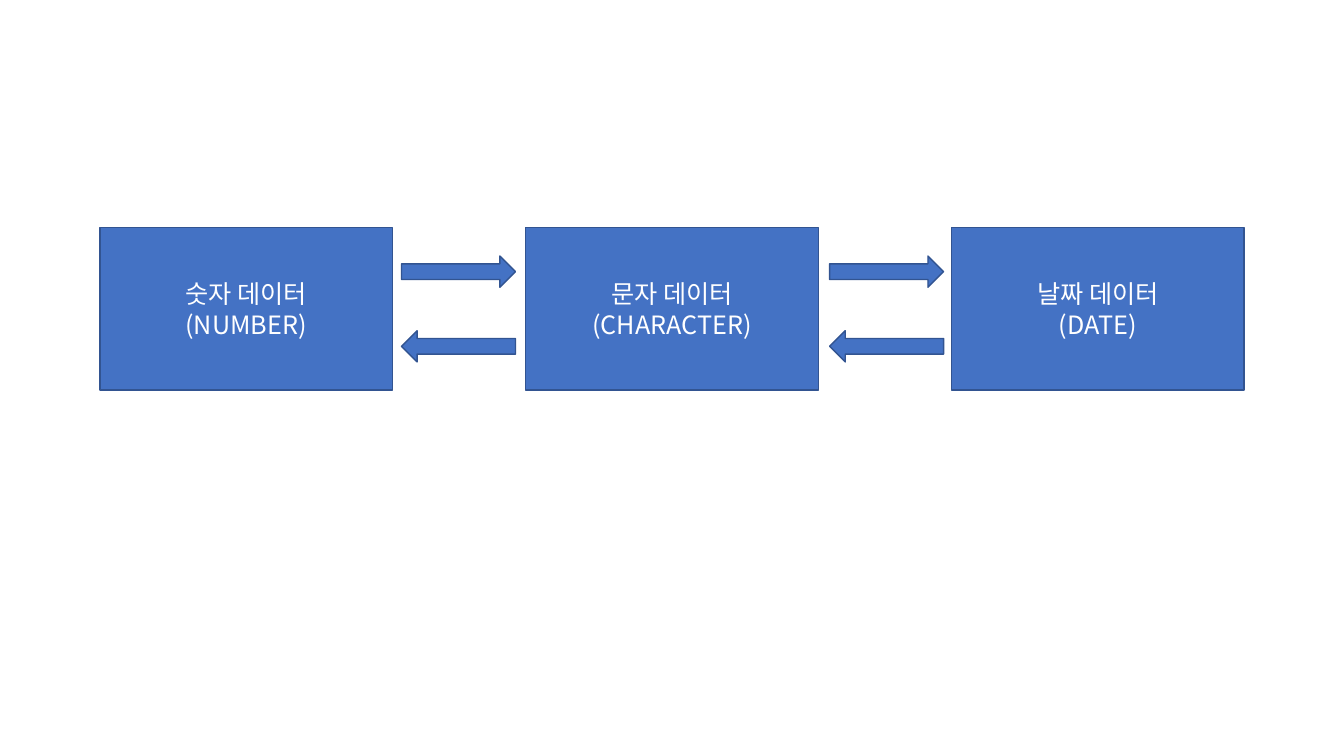
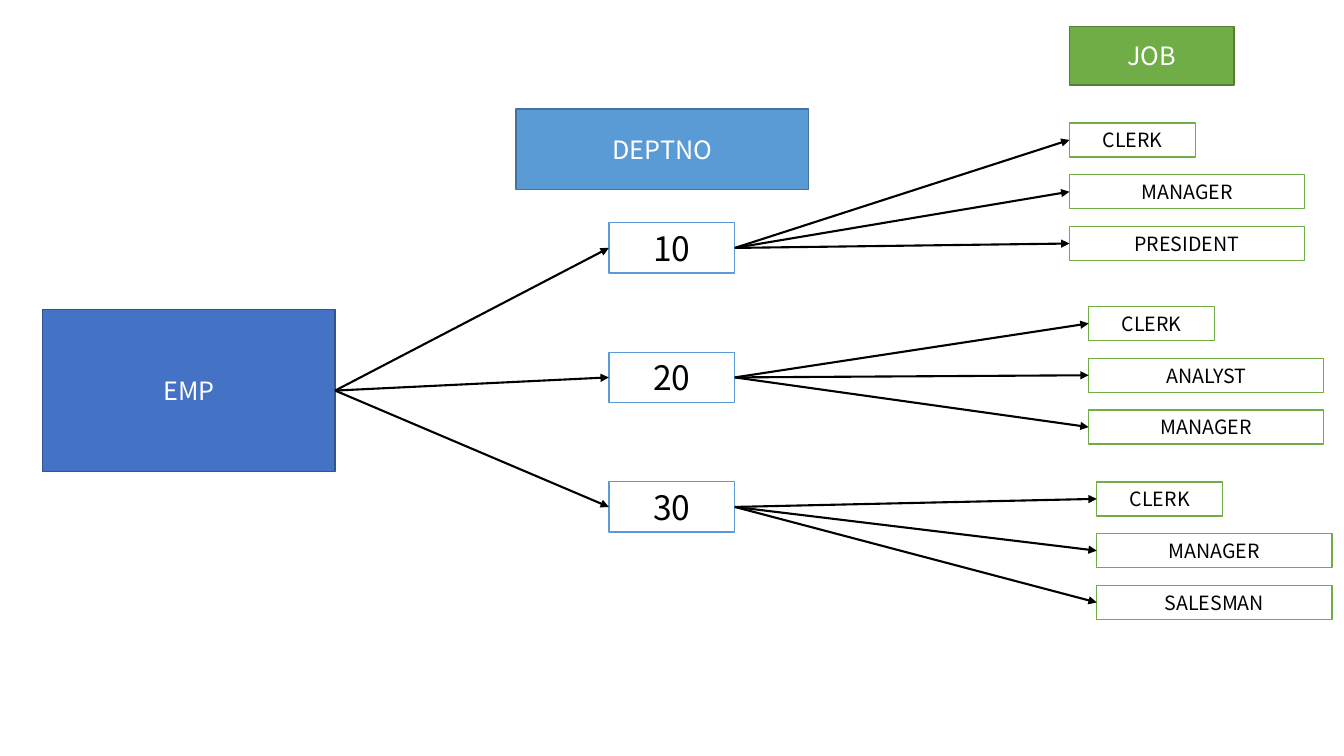
from typing import NamedTuple

from lxml.etree import SubElement
from pptx import Presentation
from pptx.dml.color import RGBColor
from pptx.enum.shapes import MSO_CONNECTOR as Link, MSO_SHAPE as Geo
from pptx.enum.text import MSO_ANCHOR as Anchor, PP_ALIGN as Align
from pptx.oxml.ns import qn
from pptx.shapes.autoshape import Shape
from pptx.slide import Slide
from pptx.util import Pt

FONT = "Noto Sans CJK KR"
LEFT, RIGHT = 1, 3  # connection sites of a rectangle


class Look(NamedTuple):
    fill: str
    edge: str
    ink: str
    size: float


class Place(NamedTuple):
    x: float
    y: float
    w: float
    h: float


class Group(NamedTuple):
    dept: str
    x: float
    y: float
    jobs: tuple[str, ...]


# Shared looks
BLUE = Look("4472C4", "325491", "FFFFFF", 18)
SKY = Look("5B9BD5", "43739E", "FFFFFF", 18)
GREEN = Look("70AD47", "538035", "FFFFFF", 18)
DEPT = Look("FFFFFF", "5B9BD5", "000000", 24)
JOB = Look("FFFFFF", "70AD47", "000000", 14)

# Content
TYPES = (("숫자 데이터", "(NUMBER)"), ("문자 데이터", "(CHARACTER)"),
         ("날짜 데이터", "(DATE)"))
GROUPS = (
    Group("10", 763.9, 87.8, ("CLERK", "MANAGER", "PRESIDENT")),
    Group("20", 777.6, 218.9, ("CLERK", "ANALYST", "MANAGER")),
    Group("30", 783.4, 344.2, ("CLERK", "MANAGER", "SALESMAN")),
)


def tint(code: str) -> RGBColor:
    return RGBColor.from_string(code)


def add_box(slide: Slide, at: Place, look: Look, *lines: str,
            geo: Geo = Geo.RECTANGLE) -> Shape:
    box = slide.shapes.add_shape(geo, *(Pt(n) for n in at))
    box.shadow.inherit = False
    box.fill.solid()
    box.fill.fore_color.rgb = tint(look.fill)
    box.line.color.rgb = tint(look.edge)
    box.line.width = Pt(1)
    frame = box.text_frame
    frame.word_wrap = True
    frame.vertical_anchor = Anchor.MIDDLE
    for i, line in enumerate(lines):
        para = frame.add_paragraph() if i else frame.paragraphs[0]
        para.alignment = Align.CENTER
        run = para.add_run()
        run.text = line
        run.font.size = Pt(look.size)
        run.font.name = FONT
        run.font.color.rgb = tint(look.ink)
        # Hangul takes the East Asian font
        SubElement(run.font._element, qn("a:ea"), typeface=FONT)
    return box


def add_link(slide: Slide, start: Shape, end: Shape) -> None:
    link = slide.shapes.add_connector(Link.STRAIGHT, 0, 0, 0, 0)
    link.begin_connect(start, RIGHT)
    link.end_connect(end, LEFT)
    link.line.color.rgb = tint("000000")
    link.line.width = Pt(1.5)
    SubElement(link.line._get_or_add_ln(), qn("a:tailEnd"), type="triangle")
    SubElement(link._element.spPr, qn("a:effectLst"))


def draw_types(slide: Slide) -> None:
    # Data types
    for i, lines in enumerate(TYPES):
        add_box(slide, Place(71.3 + 304.2 * i, 162.7, 209, 116), BLUE, *lines)
    # Conversions both ways
    for x in (286.8, 592.6):
        for y, geo in ((182.9, Geo.RIGHT_ARROW), (236.2, Geo.LEFT_ARROW)):
            add_box(slide, Place(x, y, 81.4, 22.3), BLUE, geo=geo)


def draw_tree(slide: Slide) -> None:
    # Level heads
    root = add_box(slide, Place(30.4, 221, 209, 116), BLUE, "EMP")
    add_box(slide, Place(368.6, 77.8, 209, 57.6), SKY, "DEPTNO")
    add_box(slide, Place(763.9, 18.9, 117.5, 41.8), GREEN, "JOB")
    # Departments and their jobs
    for i, group in enumerate(GROUPS):
        dept = add_box(slide, Place(434.9, 159.1 + 92.5 * i, 90, 36),
                       DEPT, group.dept)
        add_link(slide, root, dept)
        for k, name in enumerate(group.jobs):
            wide = 168 if k else 90
            job = add_box(slide, Place(group.x, group.y + 37 * k, wide, 24.3),
                          JOB, name)
            add_link(slide, dept, job)


def main() -> None:
    deck = Presentation()
    deck.slide_width, deck.slide_height = Pt(960), Pt(540)
    blank = deck.slide_layouts.get_by_name("Blank")
    for draw in (draw_types, draw_tree):
        draw(deck.slides.add_slide(blank))
    deck.save("out.pptx")


if __name__ == "__main__":
    main()
